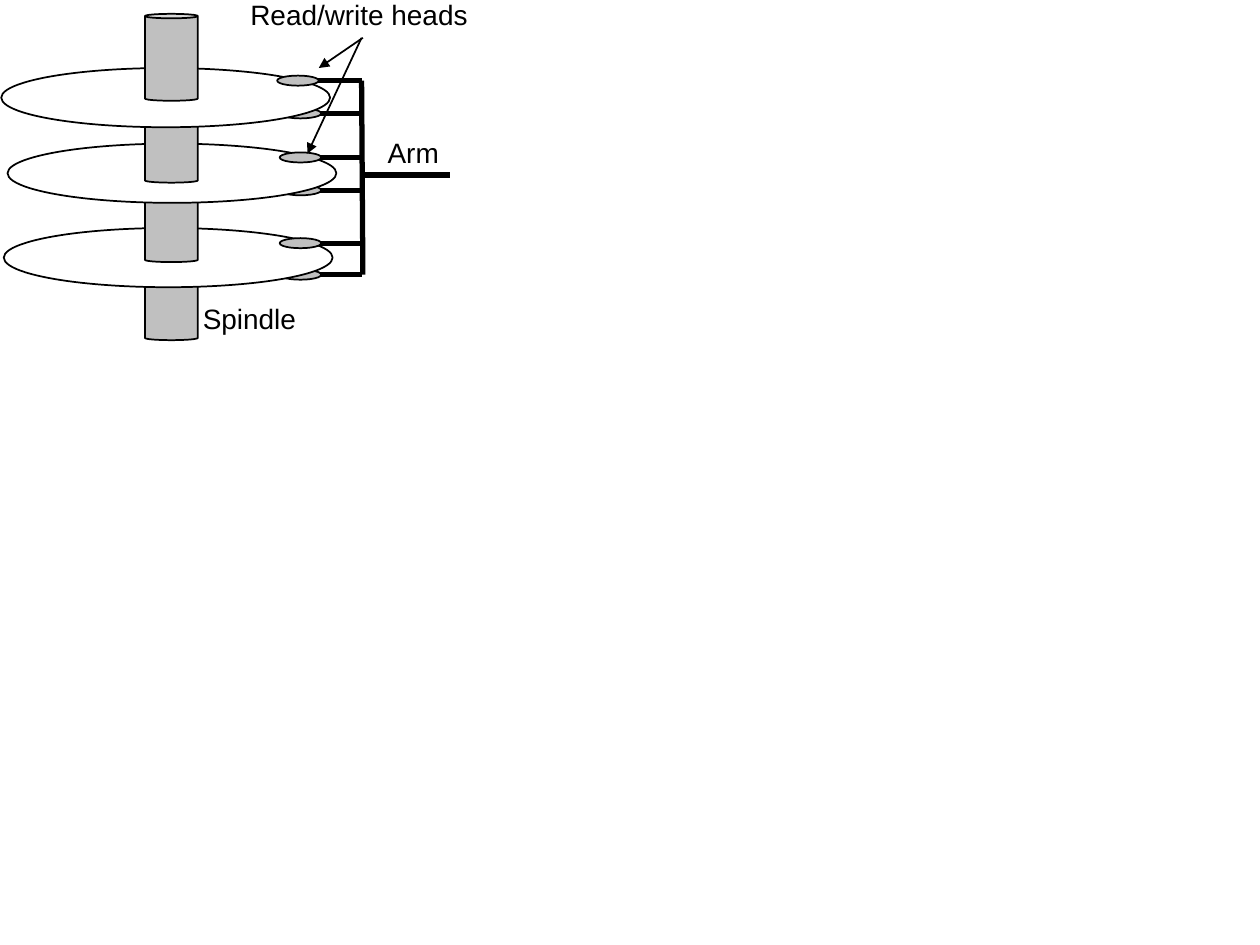
"""Build a slide showing a disk drive: spindle, platters, arm and read/write heads."""
from lxml import etree
from pptx import Presentation
from pptx.dml.color import RGBColor
from pptx.enum import shapes, text
from pptx.oxml import ns
from pptx.util import Inches, Pt

BLACK = RGBColor(0, 0, 0)
GRAY = RGBColor(0xC0, 0xC0, 0xC0)
WHITE = RGBColor(0xFF, 0xFF, 0xFF)

ARM_X = 2.87
HEAD_SIZE = (0.33, 0.08)
PLATTER_SIZE = (2.61, 0.47)
SPINDLE_X, SPINDLE_SIZE = 1.15, (0.42, 0.69)
SPINDLE_TOP = 0.11

LOWER_HEADS = [(2.22, 0.9), (2.22, 1.51), (2.22, 2.18)]
UPPER_HEADS = [(2.22, 1.93), (2.2, 0.64), (2.22, 1.25)]
PLATTERS = [
    {"spindle": 2.01, "disk": (0.03, 1.81)},
    {"spindle": 1.39, "disk": (0.06, 1.14)},
    {"spindle": 0.76, "disk": (0.01, 0.54)},
]
ARM = [((ARM_X, 0.64), (2.88, 2.18)), ((2.88, 1.39), (3.57, 1.39))]
POINTERS = [((2.88, 0.3), (2.53, 0.54)), ((2.87, 0.3), (2.44, 1.22))]
LABELS = [
    ("Arm", 2.96, 1.02, 0.64),
    ("Read/write heads", 1.87, -0.07, 1.96),
    ("Spindle", 1.5, 2.34, 0.96),
]


def add_part(slide, preset, position, size, fill):
    part = slide.shapes.add_shape(preset, *map(Inches, (*position, *size)))
    part.shadow.inherit = False
    part.fill.solid()
    part.fill.fore_color.rgb = fill
    part.line.color.rgb = BLACK
    part.line.width = Pt(1)
    return part


def add_line(slide, start, end, width, arrow=False):
    line = slide.shapes.add_connector(
        shapes.MSO_CONNECTOR.STRAIGHT, *map(Inches, (*start, *end)))
    line.line.color.rgb = BLACK
    line.line.width = Pt(width)
    properties = line._element.spPr
    if arrow:
        etree.SubElement(properties.find(ns.qn("a:ln")), ns.qn("a:tailEnd"), type="triangle")
    etree.SubElement(properties, ns.qn("a:effectLst"))


def add_head(slide, left, middle):
    add_line(slide, (ARM_X, middle), (2.37, middle), 3)
    add_part(slide, shapes.MSO_SHAPE.OVAL, (left, middle - HEAD_SIZE[1] / 2), HEAD_SIZE, GRAY)


def add_spindle(slide, top):
    spindle = add_part(slide, shapes.MSO_SHAPE.CAN, (SPINDLE_X, top), SPINDLE_SIZE, GRAY)
    spindle.adjustments[0] = 0.085


def add_label(slide, wording, left, top, width):
    label = slide.shapes.add_textbox(*map(Inches, (left, top, width, 0.37)))
    frame = label.text_frame
    frame.word_wrap = False
    frame.auto_size = text.MSO_AUTO_SIZE.SHAPE_TO_FIT_TEXT
    frame.vertical_anchor = text.MSO_ANCHOR.MIDDLE
    paragraph = frame.paragraphs[0]
    paragraph.alignment = text.PP_ALIGN.CENTER
    run = paragraph.add_run()
    run.text = wording
    run.font.name = "Arial"
    run.font.size = Pt(16)
    run.font.color.rgb = BLACK


def main():
    deck = Presentation()
    deck.slide_width, deck.slide_height = Inches(10), Inches(7.5)
    slide = deck.slides.add_slide(deck.slide_layouts[6])
    for head in LOWER_HEADS:
        add_head(slide, *head)
    for platter in PLATTERS:
        add_spindle(slide, platter["spindle"])
        add_part(slide, shapes.MSO_SHAPE.OVAL, platter["disk"], PLATTER_SIZE, WHITE)
    add_spindle(slide, SPINDLE_TOP)
    for start, end in ARM:
        add_line(slide, start, end, 3)
    for head in UPPER_HEADS:
        add_head(slide, *head)
    for label in LABELS:
        add_label(slide, *label)
    for start, end in POINTERS:
        add_line(slide, start, end, 1, arrow=True)
    deck.save("out.pptx")


if __name__ == "__main__":
    main()
